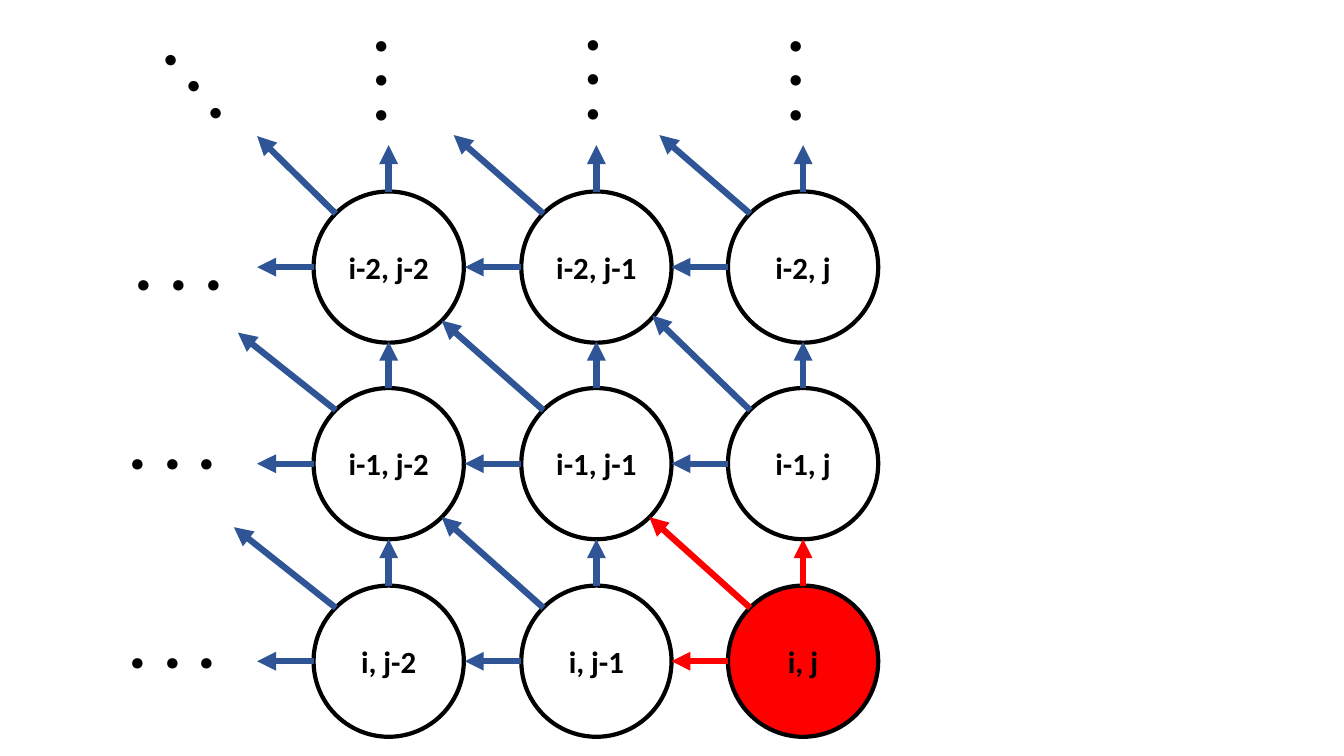
"""Build a slide of the dependency grid leading back from cell i, j."""
import pptx
import pptx.dml.color
import pptx.enum.shapes
import pptx.enum.text
import pptx.oxml
import pptx.oxml.ns
import pptx.util

Inches = pptx.util.Inches

BLACK, RED, BLUE = "000000", "FF0000", "2F5597"
FONT = "Calibri"
COLUMNS = [3.11, 5.17, 7.22]
ROWS = [1.9, 3.85, 5.81]
LABELS = [
    ["i-2, j-2", "i-2, j-1", "i-2, j"],
    ["i-1, j-2", "i-1, j-1", "i-1, j"],
    ["i, j-2", "i, j-1", "i, j"],
]
DIAGONAL_TIPS = [
    [(2.55, 1.35), (4.5, 1.34), (6.54, 1.34)],
    [(2.36, 3.3), (4.38, 3.18), (6.47, 3.13)],
    [(2.32, 5.23), (4.38, 5.13), (6.44, 5.13)],
]
ELLIPSES = [
    (1.18, 3.91, 0), (1.24, 2.14, 0), (1.18, 5.89, 0),
    (3.47, 0.34, 90), (5.57, 0.33, 90), (7.58, 0.34, 90),
    (1.56, 0.25, 50),
]
WIDTH, HEIGHT = 1.49, 1.5
UP, LEFT, CORNER = 0.46, 0.56, 0.22


def color(value):
    return pptx.dml.color.RGBColor.from_string(value)


def write(frame, text, size):
    span = frame.paragraphs[0].add_run()
    span.text = text
    span.font.name = FONT
    span.font.size = pptx.util.Pt(size)
    span.font.bold = True
    span.font.color.rgb = color(BLACK)


def add_node(page, left, top, label, fill):
    node = page.shapes.add_shape(
        pptx.enum.shapes.MSO_SHAPE.OVAL,
        Inches(left), Inches(top), Inches(WIDTH), Inches(HEIGHT))
    node.shadow.inherit = False
    if fill:
        node.fill.solid()
        node.fill.fore_color.rgb = color(fill)
    else:
        node.fill.background()
    node.line.color.rgb = color(BLACK)
    node.line.width = pptx.util.Pt(3)
    frame = node.text_frame
    frame.margin_left = frame.margin_right = 0
    frame.vertical_anchor = pptx.enum.text.MSO_ANCHOR.MIDDLE
    frame.paragraphs[0].alignment = pptx.enum.text.PP_ALIGN.CENTER
    write(frame, label, 22)
    return node


def add_arrow(page, start, tip, stroke):
    arrow = page.shapes.add_connector(
        pptx.enum.shapes.MSO_CONNECTOR.STRAIGHT,
        *(Inches(value) for value in (*start, *tip)))
    arrow.line.color.rgb = color(stroke)
    arrow.line.width = pptx.util.Pt(4.5)
    head = pptx.oxml.parse_xml(
        f'<a:tailEnd {pptx.oxml.ns.nsdecls("a")} type="triangle"/>')
    arrow.line._get_or_add_ln().append(head)
    effects = pptx.oxml.parse_xml(
        f'<a:effectLst {pptx.oxml.ns.nsdecls("a")}/>')
    arrow._element.spPr.append(effects)
    return arrow


def add_dots(page, left, top, angle):
    box = page.shapes.add_textbox(
        Inches(left), Inches(top), Inches(1.08), Inches(0.94))
    box.rotation = angle
    box.text_frame.word_wrap = False
    box.text_frame.auto_size = pptx.enum.text.MSO_AUTO_SIZE.SHAPE_TO_FIT_TEXT
    write(box.text_frame, ". . .", 50)


def main():
    deck = pptx.Presentation()
    deck.slide_width, deck.slide_height = Inches(13.33), Inches(7.5)
    page = deck.slides.add_slide(deck.slide_layouts[6])

    cells = [(row, column) for row in range(3) for column in range(3)]
    nodes = {}
    for row, column in cells:
        fill = RED if (row, column) == cells[-1] else None
        nodes[row, column] = add_node(
            page, COLUMNS[column], ROWS[row], LABELS[row][column], fill)

    for row, column in cells:
        left, top = COLUMNS[column], ROWS[row]
        center, middle = left + WIDTH / 2, top + HEIGHT / 2
        stroke = RED if (row, column) == cells[-1] else BLUE
        upward = add_arrow(page, (center, top), (center, top - UP), stroke)
        upward.begin_connect(nodes[row, column], 0)
        add_arrow(page, (left, middle), (left - LEFT, middle), stroke)
        add_arrow(page, (left + CORNER, top + CORNER),
                  DIAGONAL_TIPS[row][column], stroke)

    for left, top, angle in ELLIPSES:
        add_dots(page, left, top, angle)

    deck.save("out.pptx")


if __name__ == "__main__":
    main()
